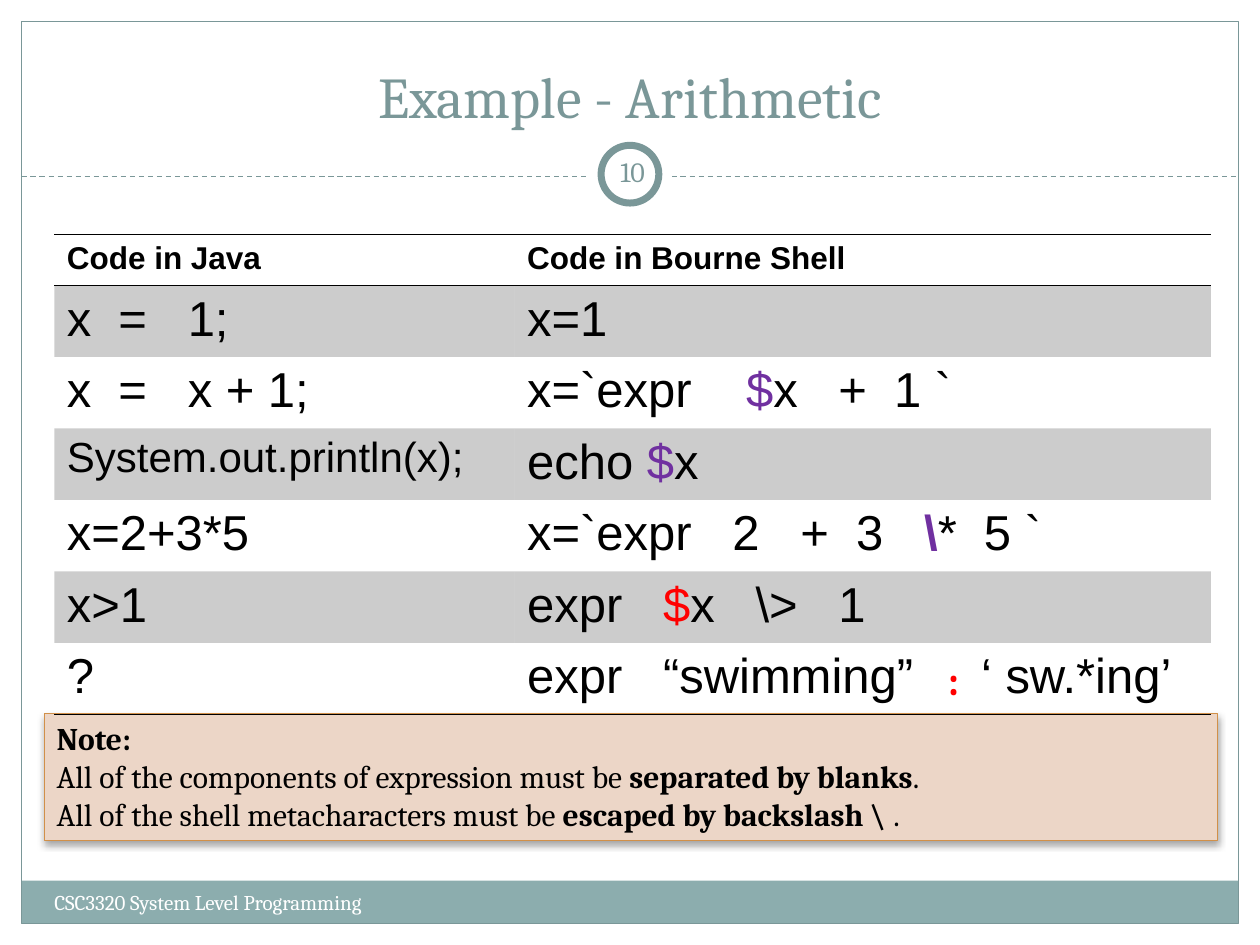
from dataclasses import dataclass

from lxml.etree import SubElement
from pptx import Presentation
from pptx.dml.color import RGBColor
from pptx.enum.dml import MSO_LINE
from pptx.enum.shapes import MSO_CONNECTOR, MSO_SHAPE
from pptx.enum.text import MSO_ANCHOR, MSO_AUTO_SIZE, PP_ALIGN
from pptx.oxml.ns import qn
from pptx.util import Pt


@dataclass(frozen=True)
class Theme:
    """Colours, fonts and type sizes of the slide."""
    white: str = "FFFFFF"
    ink: str = "000000"
    slate: str = "7A9798"
    band: str = "8CADAE"
    purple: str = "7030A0"
    red: str = "FF0000"
    note_fill: str = "ECD6C7"
    note_line: str = "D19049"
    serif: str = "Cambria"
    sans: str = "Arial"
    title: int = 33
    code: int = 28
    long_code: int = 24
    heading: int = 18
    number: int = 16
    footer: int = 12
    hairline: float = 0.75
    plain_table: str = "{2D5ABB26-0587-4C30-8999-92F81FD0307C}"


@dataclass(frozen=True)
class Box:
    """A region of the slide in points."""
    left: float
    top: float
    width: float
    height: float

    def inner(self, left, top, width, height):
        """Return a box placed relative to this one."""
        return Box(self.left + left, self.top + top, width, height)

    def emu(self):
        """Return the four lengths for python-pptx."""
        return [Pt(v) for v in (self.left, self.top, self.width, self.height)]


THEME = Theme()
CODE_ROWS = [
    ([("x  =   1;",)], [("x=1",)]),
    ([("x  =   x + 1;",)],
     [("x=`expr    ",), ("$", THEME.purple), ("x   +  1 `",)]),
    ([("System.out.println(x);",)],
     [("echo ",), ("$", THEME.purple), ("x",)]),
    ([("x=2+3*5",)],
     [("x=`expr   2   +  3   ",), ("\\", THEME.purple, True), ("*  5 `",)]),
    ([("x>1",)], [("expr   ",), ("$", THEME.red), ("x   \\>   1",)]),
    ([("?",)], [("expr   “swimming”     ‘ sw.*ing’",)]),
]
NOTE = [
    [("Note:", THEME.ink, True)],
    [("All of the components of expression must be ",),
     ("separated by blanks", THEME.ink, True), (".",)],
    [("All of the shell metacharacters must be ",),
     ("escaped by backslash \\ ", THEME.ink, True), (".",)],
]


def rgb(color):
    """Turn a hex string into a colour."""
    return RGBColor.from_string(color)


def add_run(paragraph, size, font, text, color=THEME.ink, bold=False):
    """Add one formatted run to a paragraph."""
    run = paragraph.add_run()
    run.text = text
    run.font.size, run.font.name, run.font.bold = Pt(size), font, bold
    run.font.color.rgb = rgb(color)


def write(paragraph, runs, size, font):
    """Add (text, colour, bold) runs to a paragraph."""
    for run in runs:
        add_run(paragraph, size, font, *run)


def add_panel(slide, box, kind=MSO_SHAPE.RECTANGLE, fill=None, line=None,
              weight=THEME.hairline):
    """Add a preset shape without a shadow."""
    panel = slide.shapes.add_shape(kind, *box.emu())
    panel.shadow.inherit = False
    if fill:
        panel.fill.solid()
        panel.fill.fore_color.rgb = rgb(fill)
    else:
        panel.fill.background()
    if line:
        panel.line.color.rgb = rgb(line)
        panel.line.width = Pt(weight)
    else:
        panel.line.fill.background()
    return panel


def add_label(slide, box, run, size):
    """Add a one-line serif text box and return its frame."""
    frame = slide.shapes.add_textbox(*box.emu()).text_frame
    frame.word_wrap = True
    write(frame.paragraphs[0], [run], size, THEME.serif)
    return frame


def add_frame(slide, box):
    """Draw the outer frame, footer band and course name."""
    add_panel(slide, box.inner(0, 491, box.width, 24.5), fill=THEME.band)
    add_panel(slide, box, line=THEME.slate)
    add_label(slide, box.inner(11.75, 492.5, 282, 28.8),
              ("CSC3320 System Level Programming", THEME.white), THEME.footer)


def add_header(slide, box):
    """Place the title, the dashed rule and the slide number ring."""
    title = slide.shapes.title
    title.left, title.top, title.width, title.height = box.inner(
        12, 5.75, box.width - 24, 60).emu()
    frame = title.text_frame
    frame.auto_size = MSO_AUTO_SIZE.NONE
    frame.vertical_anchor = MSO_ANCHOR.BOTTOM
    frame.paragraphs[0].alignment = PP_ALIGN.CENTER
    write(frame.paragraphs[0], [("Example - Arithmetic", THEME.slate)],
          THEME.title, THEME.serif)

    rule_y = Pt(box.top + box.height)
    rule = slide.shapes.add_connector(
        MSO_CONNECTOR.STRAIGHT, Pt(box.left), rule_y,
        Pt(box.left + box.width), rule_y)
    rule.line.color.rgb = rgb(THEME.slate)
    rule.line.width = Pt(THEME.hairline)
    rule.line.dash_style = MSO_LINE.DASH
    SubElement(rule.element.spPr, qn("a:effectLst"))

    center, middle = box.width / 2, box.height - 1.2
    for diameter, line in ((48, None), (33, THEME.slate)):
        add_panel(slide, box.inner(center - diameter / 2,
                                   middle - diameter / 2, diameter, diameter),
                  MSO_SHAPE.OVAL, THEME.white, line, 4)
    number = add_label(slide, box.inner(center - 16.5, middle - 19, 36, 34.6),
                       ("10", THEME.slate), THEME.number)
    number.margin_left = number.margin_right = Pt(3.6)
    number.vertical_anchor = MSO_ANCHOR.MIDDLE
    number.paragraphs[0].alignment = PP_ALIGN.CENTER


def add_note(slide, box):
    """Draw the note panel with its soft shadow."""
    panel = add_panel(slide, box, fill=THEME.note_fill, line=THEME.note_line)
    effects = panel.element.spPr.find(qn("a:effectLst"))
    shadow = SubElement(effects, qn("a:outerShdw"), blurRad=str(Pt(4)),
                        dist=str(Pt(2)), dir="5400000", rotWithShape="0")
    color = SubElement(shadow, qn("a:srgbClr"), val=THEME.ink)
    SubElement(color, qn("a:alpha"), val="35000")
    frame = panel.text_frame
    frame.word_wrap = True
    frame.vertical_anchor = MSO_ANCHOR.TOP
    for index, runs in enumerate(NOTE):
        line = frame.add_paragraph() if index else frame.paragraphs[0]
        line.alignment = PP_ALIGN.LEFT
        write(line, runs, THEME.heading, THEME.serif)


def style_cell(cell, edges, shaded):
    """Rule the named edges of a cell and shade it if asked."""
    properties = cell._tc.get_or_add_tcPr()
    for edge in edges:
        border = SubElement(properties, qn(f"a:ln{edge}"), w=str(Pt(1)))
        SubElement(SubElement(border, qn("a:solidFill")),
                   qn("a:srgbClr"), val=THEME.ink)
    if shaded:
        cell.fill.solid()
        cell.fill.fore_color.rgb = rgb(THEME.ink)
        SubElement(properties.find(qn("a:solidFill"))[0],
                   qn("a:alpha"), val="20000")
    else:
        cell.fill.background()


def add_code_table(slide, box):
    """Compare the code of both languages row by row."""
    headings = [[(text, THEME.ink, True)]
                for text in ("Code in Java", "Code in Bourne Shell")]
    rows = [headings, *CODE_ROWS]
    table = slide.shapes.add_table(len(rows), 2, *box.emu()).table
    table._tbl.tblPr.find(qn("a:tableStyleId")).text = THEME.plain_table
    table.columns[0].width = Pt(263)
    table.columns[1].width = Pt(box.width - 263)
    header = 29.2
    for r, row in enumerate(rows):
        table.rows[r].height = Pt(
            (box.height - header) / len(CODE_ROWS) if r else header)
        edges = "TB" if r == 0 else "B" if r == len(CODE_ROWS) else ""
        for c, runs in enumerate(row):
            size = (THEME.heading if r == 0 else THEME.long_code
                    if c == 0 and len(runs[0][0]) > 20 else THEME.code)
            style_cell(table.cell(r, c), edges, r % 2 == 1)
            write(table.cell(r, c).text_frame.paragraphs[0], runs, size,
                  THEME.sans)
    add_label(slide, box.inner(503.25, 236, 24, 36),
              (":", THEME.red, True), THEME.long_code)


def main():
    """Build the slide and save it."""
    deck = Presentation()
    deck.slide_width, deck.slide_height = Pt(720), Pt(540)
    slide = deck.slides.add_slide(deck.slide_layouts[5])
    page = Box(12.25, 12.25, 695.5, 515.5)
    add_frame(slide, page)
    add_header(slide, page.inner(0, 0, page.width, 88.5))
    add_note(slide, page.inner(13, 395.3, 670.5, 72.7))
    add_code_table(slide, page.inner(18.75, 121.7, 661, 274.2))
    deck.save("out.pptx")


if __name__ == "__main__":
    main()
